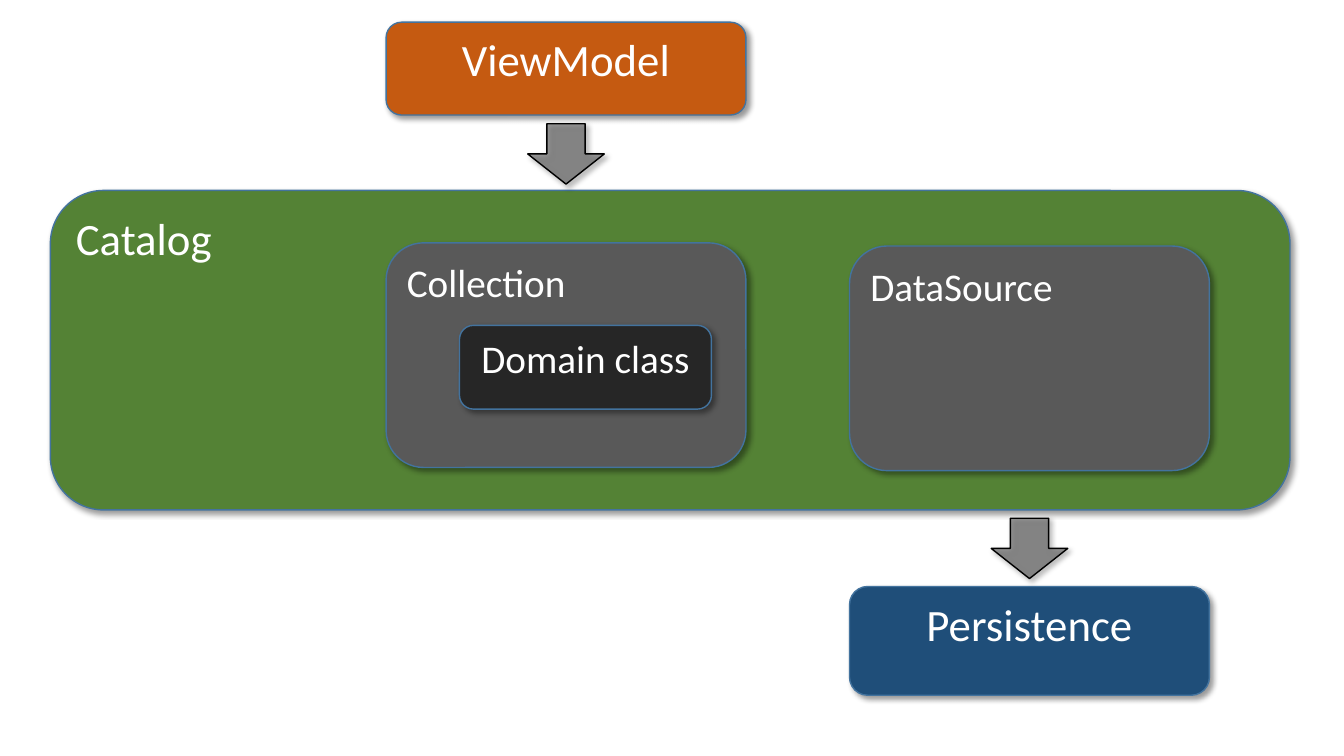
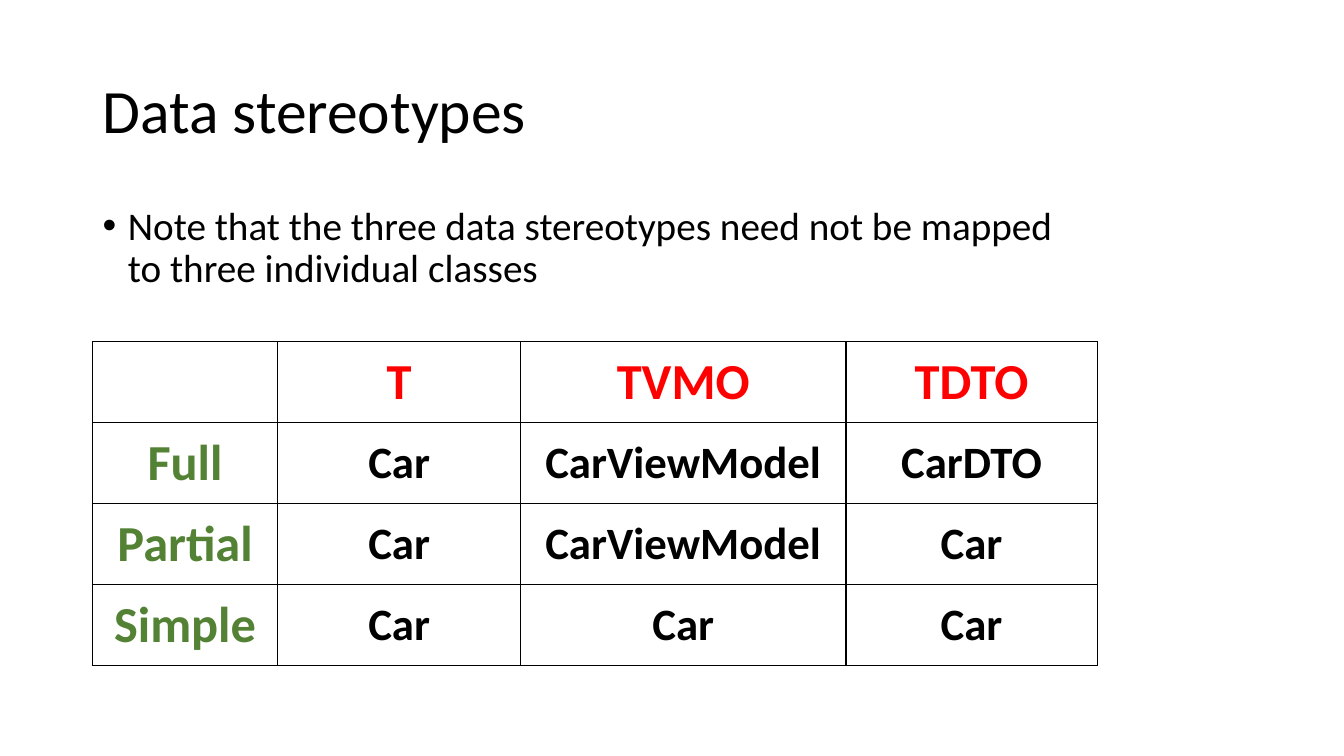
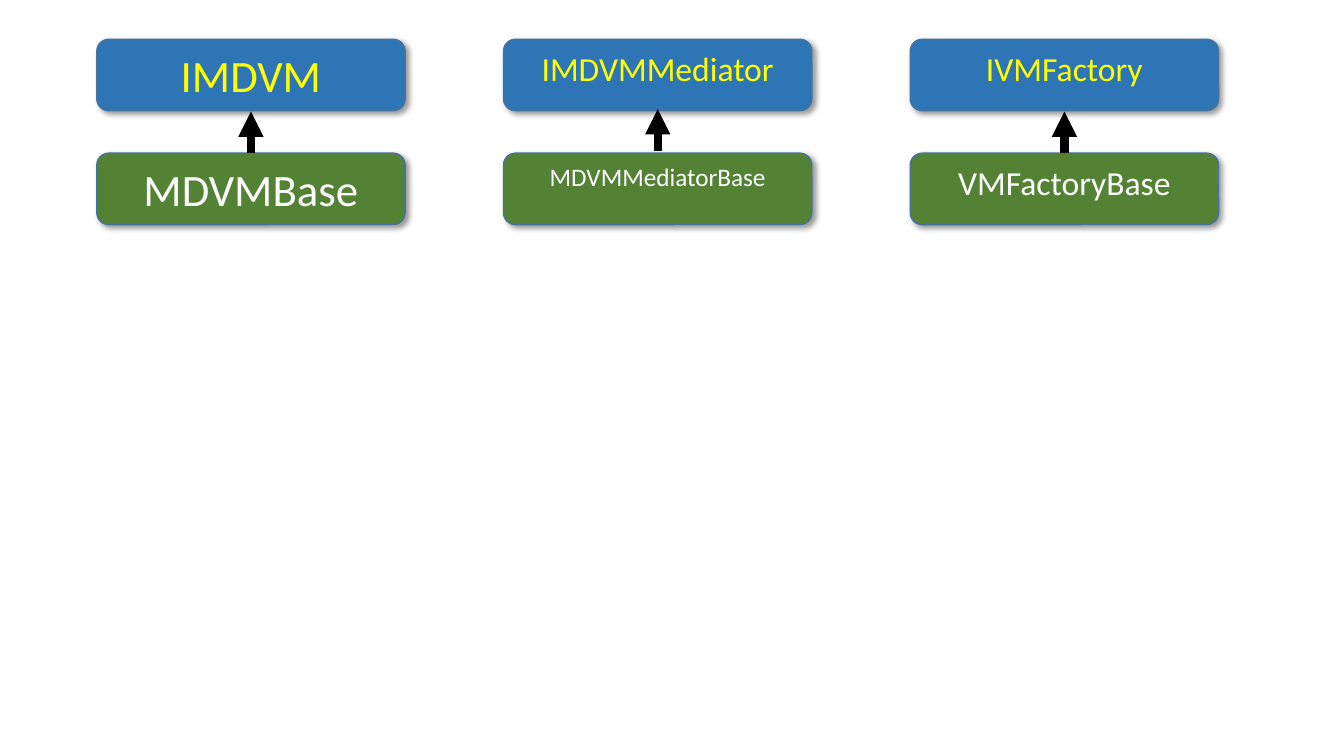
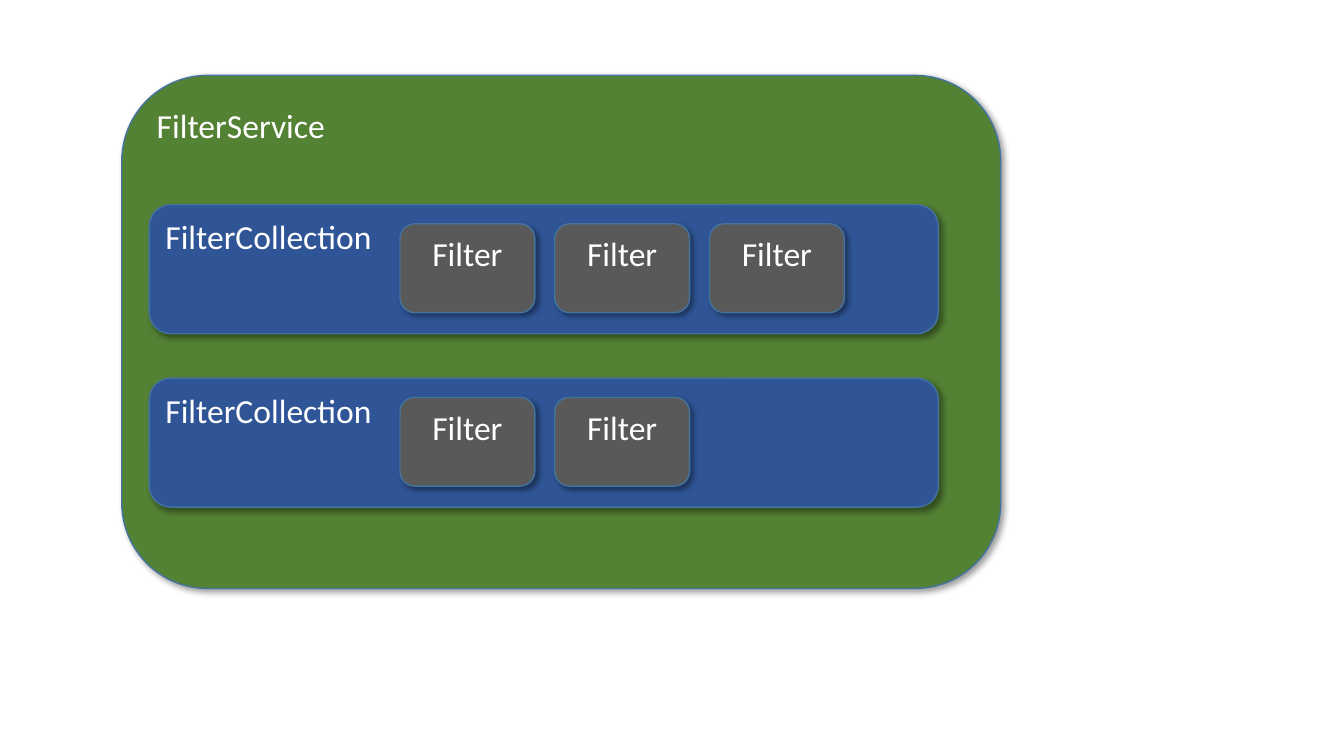
from dataclasses import dataclass
from pptx import Presentation
from pptx import util as u
from pptx.dml.color import RGBColor
from pptx.enum import shapes, text
from pptx.oxml import ns, parse_xml

Cm, Pt = u.Cm, u.Pt
Kind, Side, Mid = shapes.MSO_SHAPE, text.PP_ALIGN, text.MSO_ANCHOR


@dataclass(frozen=True)
class Theme:
    font: str = "Calibri"
    white: str = "FFFFFF"
    black: str = "000000"
    green: str = "548235"
    gray: str = "595959"
    dark: str = "262626"
    orange: str = "C55A11"
    navy: str = "1F4E79"
    blue: str = "2E75B6"
    deep: str = "2F5597"
    edge: str = "43739E"
    yellow: str = "FFFF00"
    red: str = "FF0000"
    title: int = 44
    head: int = 36
    big: int = 32
    mid: int = 28
    small: int = 24
    tiny: int = 18


T = Theme()
rgb = RGBColor.from_string
A = ns.nsdecls("a")
SHADE = (f'<a:outerShdw {A} blurRad="50800" dist="38100" dir="2700000" algn="tl" rotWithShape="0">'
         f'<a:srgbClr val="{T.black}"><a:alpha val="40000"/></a:srgbClr></a:outerShdw>')


def write(para, words, size, color, align=Side.LEFT, bold=False):
    para.alignment = align
    run = para.add_run()
    run.text = words
    font = run.font
    font.name, font.size, font.bold = T.font, Pt(size), bold
    font.color.rgb = rgb(color)


def draw(page, kind, left, top, wide, high, fill, edge=T.edge):
    form = page.shapes.add_shape(kind, Cm(left), Cm(top), Cm(wide), Cm(high))
    form.fill.solid()
    form.fill.fore_color.rgb = rgb(fill)
    form.line.color.rgb = rgb(edge)
    form.line.width = Pt(1)
    form.shadow.inherit = False
    form.element.spPr.find(ns.qn("a:effectLst")).append(parse_xml(SHADE))
    form.text_frame.vertical_anchor = Mid.TOP
    return form


deck = Presentation()
deck.slide_width, deck.slide_height = Cm(33.87), Cm(19.05)
plain, listed = deck.slide_layouts[6], deck.slide_layouts[1]

page = deck.slides.add_slide(plain)
near, far, wide = 9.73, 21.41, 9.07
parts = [
    ("Catalog", 1.27, 4.8, 31.24, 8.05, T.green, T.big, Side.LEFT),
    ("ViewModel", near, 0.56, wide, 2.34, T.orange, T.big, Side.CENTER),
    ("Collection", near, 6.12, wide, 5.66, T.gray, T.mid, Side.LEFT),
    ("Domain class", 11.58, 8.2, 6.35, 2.11, T.dark, T.mid, Side.CENTER),
    ("DataSource", far, 6.2, wide, 5.66, T.gray, T.mid, Side.LEFT),
    ("Persistence", far, 14.78, wide, 2.74, T.navy, T.big, Side.CENTER),
]
for words, left, top, span, high, fill, size, align in parts:
    form = draw(page, Kind.ROUNDED_RECTANGLE, left, top, span, high, fill)
    write(form.text_frame.paragraphs[0], words, size, T.white, align)
for left, top in [(near, 3.12), (far, 13.06)]:
    arrow = draw(page, Kind.DOWN_ARROW, left + (wide - 1.93) / 2, top, 1.93, 1.52, T.gray, T.black)
    tint = arrow.element.spPr.find(ns.qn("a:solidFill"))[0]
    tint.append(parse_xml(f'<a:alpha {A} val="60000"/>'))

page = deck.slides.add_slide(listed)
title, body = page.shapes.title, page.placeholders[1]
title.left, title.top, title.width, title.height = Cm(2.33), Cm(1.01), Cm(29.21), Cm(3.68)
body.left, body.top, body.width, body.height = Cm(2.33), Cm(5.08), Cm(25.32), Cm(3.18)
title.text_frame.vertical_anchor = Mid.MIDDLE
para = title.text_frame.paragraphs[0]
para.line_spacing = 0.9
write(para, "Data stereotypes", T.title, T.black)
para = body.text_frame.paragraphs[0]
para.line_spacing, para.space_before = 0.9, Pt(10)
write(para, "Note that the three data stereotypes need not be mapped to three individual classes",
      T.mid, T.black)
props = para._p.get_or_add_pPr()
props.set("marL", str(Cm(0.64)))
props.set("indent", str(-Cm(0.64)))

rows = [
    ["", "T", "TVMO", "TDTO"],
    ["Full", "Car", "CarViewModel", "CarDTO"],
    ["Partial", "Car", "CarViewModel", "Car"],
    ["Simple", "Car", "Car", "Car"],
]
grid = page.shapes.add_table(4, 4, Cm(2.33), Cm(8.61), Cm(25.32), Cm(8.16)).table
grid.first_row = grid.horz_banding = False
for col, span in zip(grid.columns, [4.67, 6.12, 8.2, 6.33]):
    col.width = Cm(span)
for r, row in enumerate(rows):
    for c, words in enumerate(row):
        cell = grid.cell(r, c)
        cell.vertical_anchor = Mid.MIDDLE
        props = cell._tc.get_or_add_tcPr()
        for edge in "LRTB":
            props.append(parse_xml(f'<a:ln{edge} {A} w="12700"><a:solidFill><a:srgbClr val="{T.black}"/>'
                                   f'</a:solidFill></a:ln{edge}>'))
        cell.fill.background()
        if words:
            color = T.red if r == 0 else T.green if c == 0 else T.black
            size = T.big if r and c else T.head
            write(cell.text_frame.paragraphs[0], words, size, color, Side.CENTER, True)

page = deck.slides.add_slide(plain)
pairs = [
    ("IMDVM", T.big, "MDVMBase", T.big, 0),
    ("IMDVMMediator", T.small, "MDVMMediatorBase", T.tiny, 0.06),
    ("IVMFactory", T.small, "VMFactoryBase", T.small, 0),
]
for i, (face, large, base, size, lift) in enumerate(pairs):
    left = 2.44 + 10.25 * i
    for words, pts, top, fill, color in [(face, large, 0.99, T.blue, T.yellow),
                                         (base, size, 3.86, T.green, T.white)]:
        form = draw(page, Kind.ROUNDED_RECTANGLE, left, top, 7.77, 1.8, fill)
        write(form.text_frame.paragraphs[0], words, pts, color, Side.CENTER)
    mid = Cm(left + 7.77 / 2)
    link = page.shapes.add_connector(shapes.MSO_CONNECTOR.STRAIGHT, mid, Cm(3.86 - lift),
                                     mid, Cm(2.81 - lift))
    link.line.color.rgb = rgb(T.black)
    link.line.width = Pt(6)
    link.line._get_or_add_ln().append(parse_xml(f'<a:tailEnd {A} type="triangle"/>'))
    link._element.spPr.append(parse_xml(f'<a:effectLst {A}/>'))

page = deck.slides.add_slide(plain)
form = draw(page, Kind.ROUNDED_RECTANGLE, 3.07, 1.9, 22.15, 12.93, T.green)
write(form.text_frame.paragraphs[0], "FilterService", T.small, T.white)
for i, count in enumerate([3, 2]):
    top = 5.16 + 4.37 * i
    form = draw(page, Kind.ROUNDED_RECTANGLE, 3.76, top, 19.89, 3.25, T.deep)
    write(form.text_frame.paragraphs[0], "FilterCollection", T.small, T.white)
    for k in range(count):
        form = draw(page, Kind.ROUNDED_RECTANGLE, 10.08 + 3.9 * k, top + 0.48, 3.4, 2.24, T.gray)
        write(form.text_frame.paragraphs[0], "Filter", T.small, T.white, Side.CENTER)

deck.save("out.pptx")
